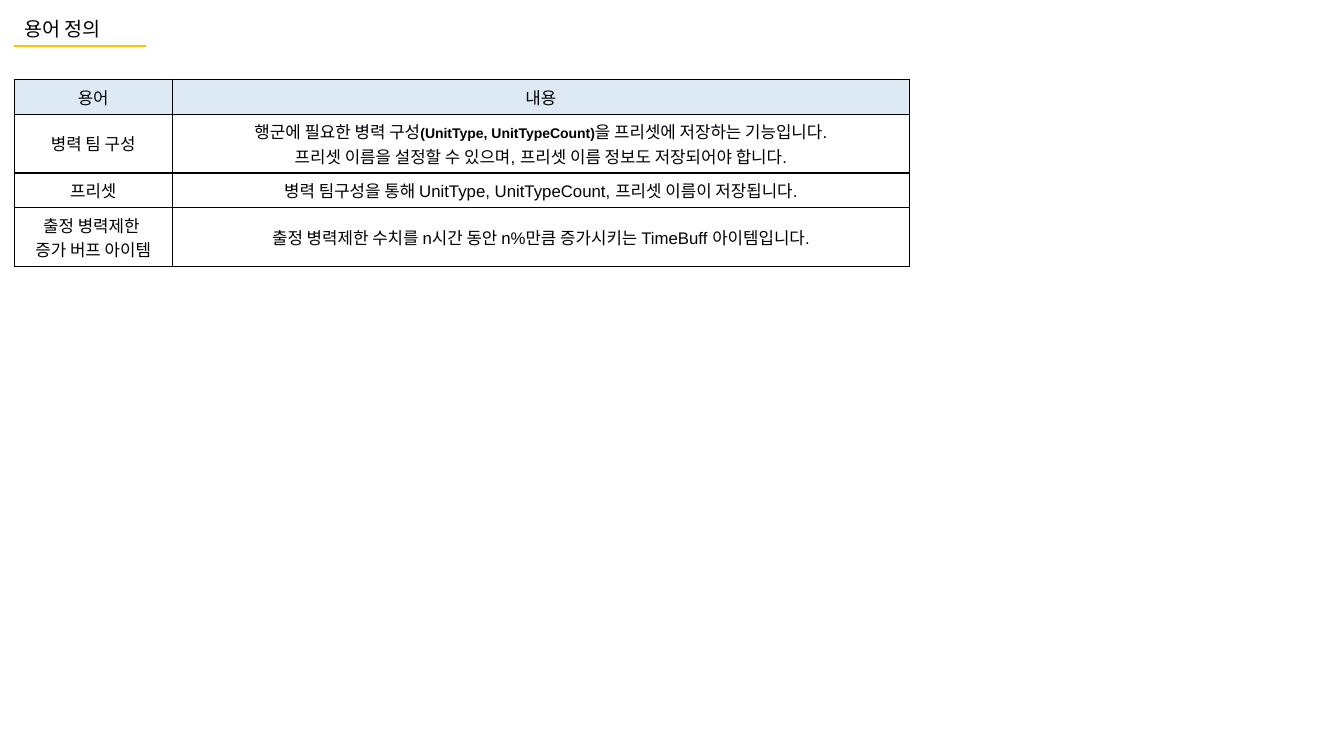
from lxml.etree import SubElement
from pptx import Presentation
from pptx.dml.color import RGBColor
from pptx.enum.shapes import MSO_CONNECTOR
from pptx.enum.text import MSO_ANCHOR, MSO_AUTO_SIZE, PP_ALIGN
from pptx.oxml.ns import qn
from pptx.util import Inches, Pt

# Content: a cell is a list of paragraphs, a paragraph a list of (text, size, bold) runs
TITLE = "용어 정의"


def plain(text):
    return [(text, 12, False)]


ROWS = [
    ([plain("용어")], [plain("내용")]),
    (
        [plain("병력 팀 구성")],
        [
            plain("행군에 필요한 병력 구성")
            + [("(UnitType, UnitTypeCount)", 10, True)]
            + plain("을 프리셋에 저장하는 기능입니다."),
            plain("프리셋 이름을 설정할 수 있으며, 프리셋 이름 정보도 저장되어야 합니다."),
        ],
    ),
    (
        [plain("프리셋")],
        [plain("병력 팀구성을 통해 UnitType, UnitTypeCount, 프리셋 이름이 저장됩니다.")],
    ),
    (
        [plain("출정 병력제한 \n증가 버프 아이템")],
        [plain("출정 병력제한 수치를 n시간 동안 n%만큼 증가시키는 TimeBuff 아이템입니다.")],
    ),
]

# Layout and style
LEFT = 0.14
COLUMN_WIDTHS = (1.57, 7.31)
ROW_HEIGHT = 0.17  # rows grow to fit their text
FONT = "Arial"
BLACK = RGBColor(0x00, 0x00, 0x00)
GOLD = RGBColor(0xFF, 0xC0, 0x00)
HEADER_BLUE = RGBColor(0xDD, 0xEA, 0xF6)


def add_run(paragraph, text, size, bold=False):
    for index, line in enumerate(text.split("\n")):
        if index:
            paragraph.add_line_break()
        run = paragraph.add_run()
        run.text = line
        run.font.name = FONT
        run.font.size = Pt(size)
        run.font.bold = bold
        run.font.color.rgb = BLACK


def add_borders(cell):
    properties = cell._tc.get_or_add_tcPr()
    for side in ("a:lnL", "a:lnR", "a:lnT", "a:lnB"):
        border = SubElement(properties, qn(side), w=str(Pt(1)))
        fill = SubElement(border, qn("a:solidFill"))
        SubElement(fill, qn("a:srgbClr"), val=str(BLACK))


def fill_cell(cell, paragraphs):
    cell.vertical_anchor = MSO_ANCHOR.MIDDLE
    frame = cell.text_frame
    for index, runs in enumerate(paragraphs):
        paragraph = frame.add_paragraph() if index else frame.paragraphs[0]
        paragraph.alignment = PP_ALIGN.CENTER
        for text, size, bold in runs:
            add_run(paragraph, text, size, bold)


def main():
    presentation = Presentation()
    presentation.slide_width = Inches(13.33)
    presentation.slide_height = Inches(7.5)
    slide = presentation.slides.add_slide(presentation.slide_layouts[5])

    # Title
    title = slide.shapes.title
    title.left, title.top = Inches(LEFT), Inches(0.12)
    title.width, title.height = Inches(1.06), Inches(0.34)
    frame = title.text_frame
    frame.word_wrap = False
    frame.auto_size = MSO_AUTO_SIZE.NONE
    frame.vertical_anchor = MSO_ANCHOR.TOP
    frame.paragraphs[0].alignment = PP_ALIGN.LEFT
    add_run(frame.paragraphs[0], TITLE, 14)

    # Title underline
    underline = slide.shapes.add_connector(
        MSO_CONNECTOR.STRAIGHT, Inches(LEFT), Inches(0.46), Inches(1.45), Inches(0.46)
    )
    underline.line.color.rgb = GOLD
    underline.line.width = Pt(1.5)
    SubElement(underline._element.spPr, qn("a:effectLst"))

    # Table of terms
    table = slide.shapes.add_table(
        len(ROWS), len(COLUMN_WIDTHS), Inches(LEFT), Inches(0.79),
        Inches(sum(COLUMN_WIDTHS)), Inches(ROW_HEIGHT * len(ROWS)),
    ).table
    table.first_row = False
    table.horz_banding = False
    for column, width in zip(table.columns, COLUMN_WIDTHS):
        column.width = Inches(width)
    for row_index, row in enumerate(ROWS):
        for column_index, paragraphs in enumerate(row):
            cell = table.cell(row_index, column_index)
            fill_cell(cell, paragraphs)
            add_borders(cell)
            if row_index == 0:
                cell.fill.solid()
                cell.fill.fore_color.rgb = HEADER_BLUE
            else:
                cell.fill.background()

    presentation.save("out.pptx")


if __name__ == "__main__":
    main()
